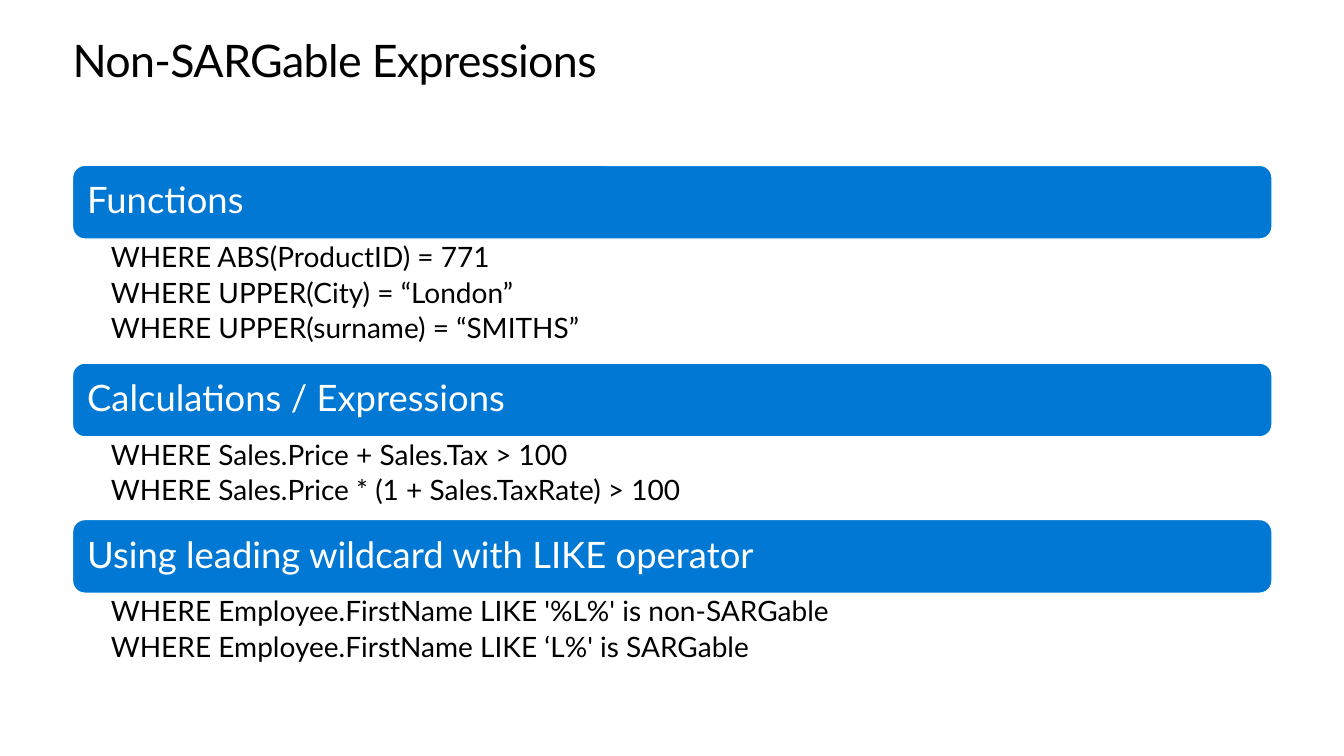
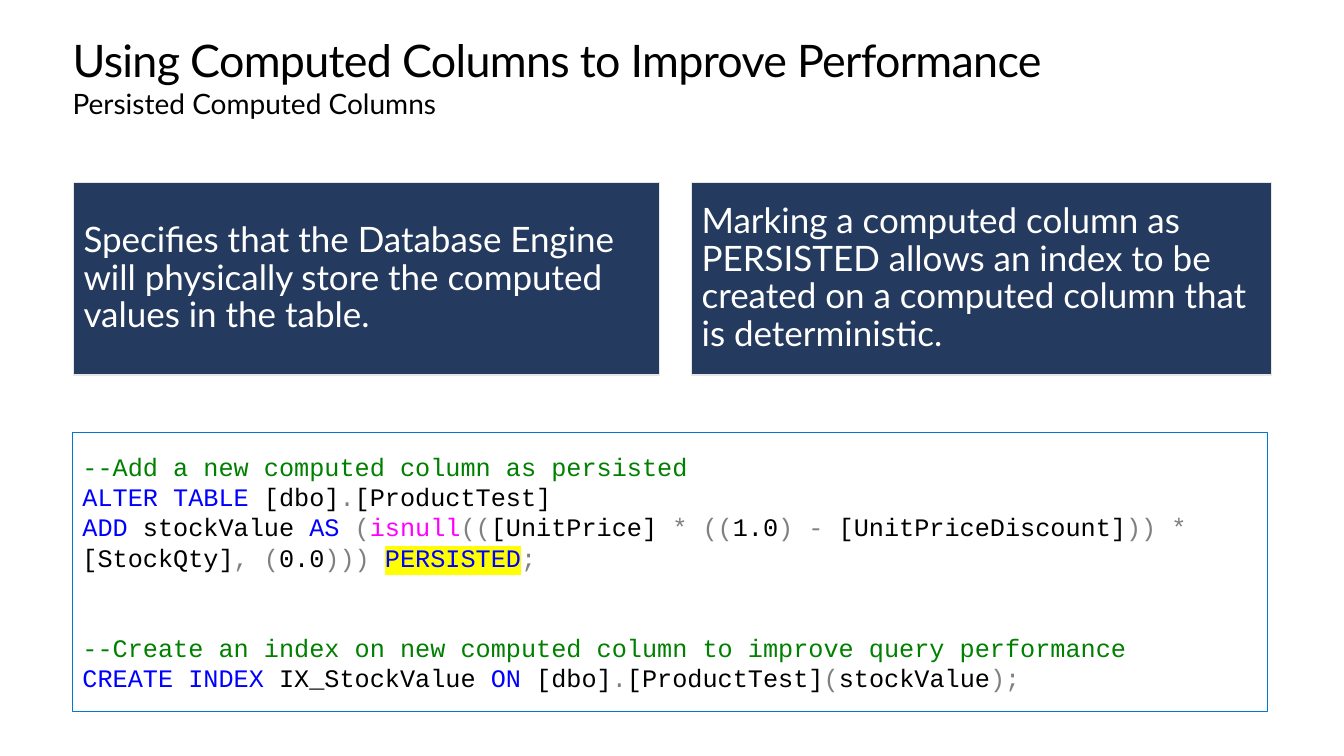
from lxml import etree
from pptx import Presentation
from pptx import util as u
from pptx.dml.color import RGBColor
from pptx.enum import shapes, text
from pptx.oxml.ns import qn

W, H = u.Inches(13.33), u.Inches(7.5)
BLACK, WHITE, BLUE, NAVY, PALE = "000000", "FFFFFF", "0078D4", "243A5E", "E6E6E6"
SYNTAX = {"k": BLACK, "b": "0000FF", "g": "808080", "c": "008000", "f": "FF00FF", "h": "0000FF"}
MARK = "FFFF00"
TITLE_BOX = (5.4, 4.67, 89.25, 6.67)
SUBTITLE_BOX = (5.4, 11.47, 89.25, 6.67)
SECTIONS_BOX = (5.4, 21.87, 89.25, 67.6)
CARDS_BOX = (5.48, 24.13, 89.13, 25.47)
CODE_BOX = (5.4, 57.2, 88.9, 36.93)
BAR_ROW, LIST_ROW = 9.75, 5.47

SECTIONS = [
    ("Functions", ["WHERE ABS(ProductID) = 771",
                   "WHERE UPPER(City) = “London”",
                   "WHERE UPPER(surname) = “SMITHS”"]),
    ("Calculations / Expressions", ["WHERE Sales.Price + Sales.Tax > 100",
                                    "WHERE Sales.Price * (1 + Sales.TaxRate) > 100"]),
    ("Using leading wildcard with LIKE operator", [
        "WHERE Employee.FirstName LIKE '%L%' is non-SARGable",
        "WHERE Employee.FirstName LIKE ‘L%' is SARGable"]),
]
CARDS = [
    (43.59, "Specifies that the Database Engine will physically store the computed "
            "values in the table."),
    (43.14, "Marking a computed column as PERSISTED allows an index to be created on a "
            "computed column that is deterministic."),
]
CODE = [
    [["c--Add a new computed column as persisted"],
     ["bALTER TABLE", "k [dbo]", "g.", "k[ProductTest]"],
     ["bADD", "k stockValue ", "bAS ", "g(", "fisnull", "g((", "k[UnitPrice] ", "g* ((",
      "k1.0", "g) -", "k [UnitPriceDiscount]", "g)) *", "k [StockQty]", "g, (", "k0.0",
      "g))) ", "hPERSISTED", "g;"]],
    [["c--Create an index on new computed column to improve query performance"],
     ["bCREATE INDEX", "k IX_StockValue ", "bON", "k [dbo]", "g.", "k[ProductTest]", "g(",
      "kstockValue", "g);"]],
]


def rgb(value):
    """Turn a hex string into a colour."""
    return RGBColor.from_string(value)


def fmt(obj, **values):
    """Set every given attribute on an object."""
    for name, value in values.items():
        setattr(obj, name, value)


def place(box):
    """Turn percentages of the slide into left, top, width and height."""
    x, y, w, h = box
    return [int(part / 100) for part in (x * W, y * H, w * W, h * H)]


def frame(sp, anchor="TOP", ins=(0, 0, 0, 0)):
    """Prepare a wrapping text frame with insets in inches."""
    tf = sp.text_frame
    sides = ("margin_left", "margin_top", "margin_right", "margin_bottom")
    fmt(tf, word_wrap=True, auto_size=text.MSO_AUTO_SIZE.NONE,
        vertical_anchor=getattr(text.MSO_ANCHOR, anchor),
        **{side: u.Inches(inset) for side, inset in zip(sides, ins)})
    return tf


def para(tf, index, spacing=1.0, before=0, after=0):
    """Return a left-aligned paragraph, adding it after the first."""
    p = tf.add_paragraph() if index else tf.paragraphs[0]
    fmt(p, alignment=text.PP_ALIGN.LEFT, line_spacing=spacing,
        space_before=u.Pt(before), space_after=u.Pt(after))
    return p


def run(p, words, size, color, font="Lato"):
    """Add a formatted run to a paragraph."""
    r = p.add_run()
    r.text = words
    fmt(r.font, size=u.Pt(size), name=font, bold=False)
    r.font.color.rgb = rgb(color)
    return r


def panel(s, box, kind, line, width, fill=None):
    """Draw a flat outlined panel, filled when a colour is given."""
    sp = s.shapes.add_shape(getattr(shapes.MSO_SHAPE, kind), *place(box))
    sp.shadow.inherit = False
    if fill:
        sp.fill.solid()
        sp.fill.fore_color.rgb = rgb(fill)
    else:
        sp.fill.background()
    sp.line.color.rgb = rgb(line)
    sp.line.width = u.Pt(width)
    return sp


def fill_placeholder(sp, box, words, size, spacing):
    """Move a placeholder to a box and give it one plain line."""
    fmt(sp, **dict(zip(("left", "top", "width", "height"), place(box))))
    p = para(frame(sp), 0, spacing)
    pPr = p._p.get_or_add_pPr()
    pPr.set("marL", "0")
    pPr.set("indent", "0")
    etree.SubElement(pPr, qn("a:buNone"))
    return run(p, words, size, BLACK)


def new_slide(prs, title, subtitle=None):
    """Add a slide with its title and optional subtitle."""
    s = prs.slides.add_slide(prs.slide_layouts[1 if subtitle else 5])
    r = fill_placeholder(s.shapes.title, TITLE_BOX, title, 32, u.Pt(36.2))
    r.font._element.set("spc", "-50")
    if subtitle:
        fill_placeholder(s.placeholders[1], SUBTITLE_BOX, subtitle, 20, 1.0)
    return s


def section_stack(s, box, sections):
    """Stack heading bars, each followed by its list of clauses."""
    x, y, w, _ = box
    for heading, clauses in sections:
        bar = panel(s, (x, y, w, BAR_ROW), "ROUNDED_RECTANGLE", WHITE, 1, BLUE)
        run(para(frame(bar, "MIDDLE", (0.11,) * 4), 0, 0.9), heading, 26, WHITE)
        y += BAR_ROW
        height = LIST_ROW * len(clauses)
        tf = frame(s.shapes.add_textbox(*place((x, y, w, height))), ins=(0.38, 0.04, 0.2, 0.04))
        for i, clause in enumerate(clauses):
            run(para(tf, i, 0.9, after=4), clause, 20, BLACK)
        y += height


def card_row(s, box, cards):
    """Set cards side by side with the remaining width as equal gaps."""
    x, y, w, h = box
    gap = (w - sum(width for width, _ in cards)) / (len(cards) - 1)
    for width, words in cards:
        card = panel(s, (x, y, width, h), "RECTANGLE", PALE, 1, NAVY)
        run(para(frame(card, "MIDDLE", (0.1,) * 4), 0, 0.9), words, 25, WHITE)
        x += width + gap


def code_panel(s, box, blocks):
    """Show coloured code, with a wide gap between blocks."""
    tf = frame(panel(s, box, "RECTANGLE", BLUE, 0.75), "MIDDLE", (0.1, 0.05, 0.1, 0.05))
    pitch = 21.6
    for b, block in enumerate(blocks):
        for i, line in enumerate(block):
            p = para(tf, b + i, u.Pt(pitch), before=2 * pitch if b and not i else 0)
            for token in line:
                r = run(p, token[1:], 18, SYNTAX[token[0]], "Courier New")
                if token[0] == "h":
                    mark = etree.Element(qn("a:highlight"))
                    etree.SubElement(mark, qn("a:srgbClr"), val=MARK)
                    r.font._element.find(qn("a:solidFill")).addnext(mark)


def main():
    """Build and save the slides."""
    prs = Presentation()
    fmt(prs, slide_width=W, slide_height=H)
    s = new_slide(prs, "Non-SARGable Expressions")
    section_stack(s, SECTIONS_BOX, SECTIONS)
    s = new_slide(prs, "Using Computed Columns to Improve Performance",
                  "Persisted Computed Columns")
    card_row(s, CARDS_BOX, CARDS)
    code_panel(s, CODE_BOX, CODE)
    prs.save("out.pptx")


if __name__ == "__main__":
    main()
